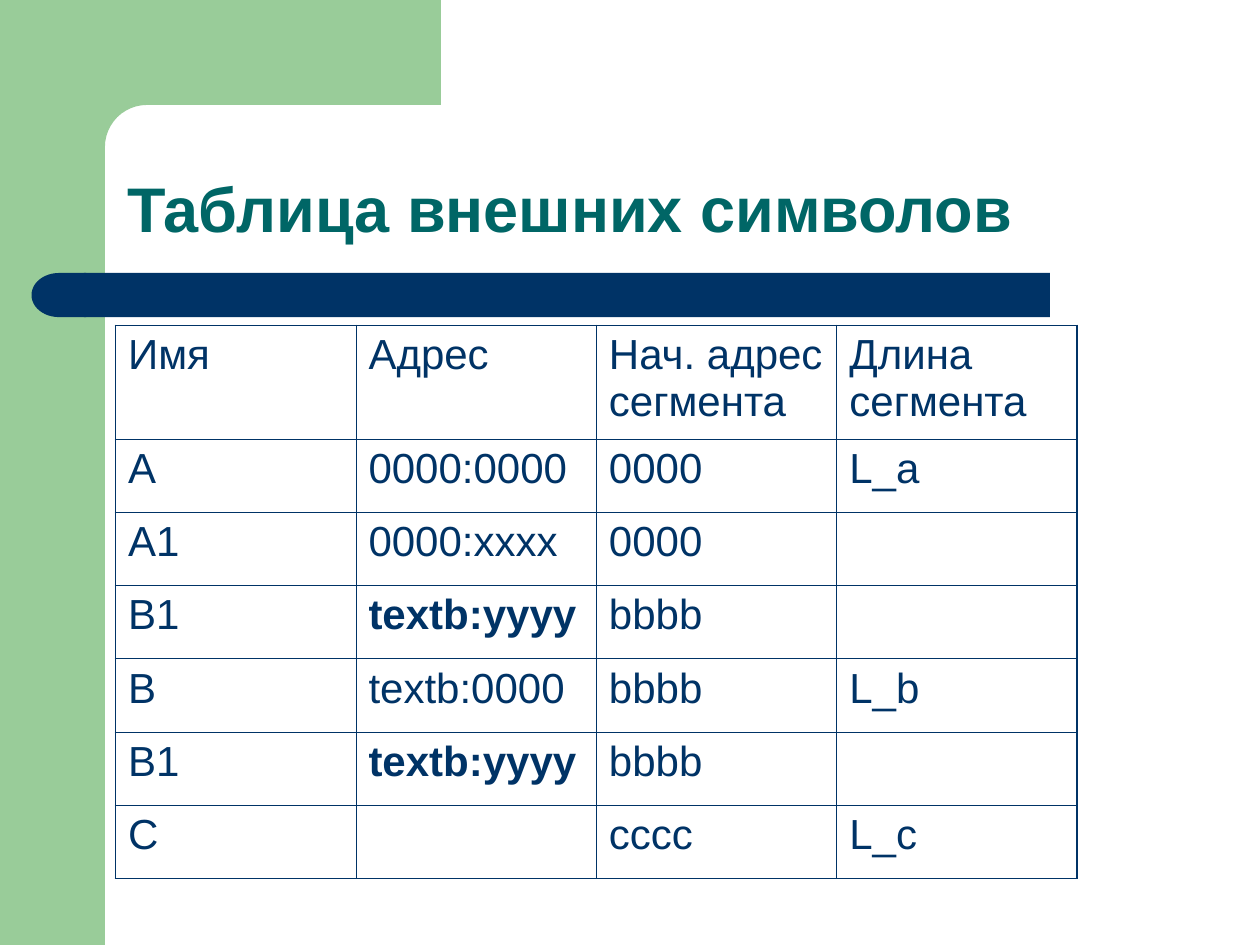
from dataclasses import dataclass
from math import cos, pi, sin

from lxml.etree import SubElement
from pptx import Presentation
from pptx.dml.color import RGBColor as RGB
from pptx.enum.shapes import MSO_SHAPE as SHAPE
from pptx.enum.text import MSO_ANCHOR as ANCHOR, MSO_AUTO_SIZE as AUTO, PP_ALIGN as ALIGN
from pptx.oxml.ns import qn
from pptx.util import Inches, Pt

COLS, ROWS = 120, 90


@dataclass(frozen=True)
class Theme:
    font: str = "Arial"
    green: str = "99CC99"
    navy: str = "003366"
    teal: str = "006666"
    title_size: int = 36
    cell_size: int = 24
    outer_line: float = 1.08
    inner_line: float = 0.45


class Deck:
    def __init__(self, theme):
        self.theme = theme
        self.prs = Presentation()
        self.prs.slide_width, self.prs.slide_height = Inches(10), Inches(7.5)
        self.s = self.prs.slides.add_slide(self.prs.slide_layouts[5])

    def x(self, cols):
        return round(self.prs.slide_width * cols / COLS)

    def y(self, rows):
        return round(self.prs.slide_height * rows / ROWS)

    def box(self, left, top, width, height):
        return self.x(left), self.y(top), self.x(width), self.y(height)

    def paint(self, sp, color):
        sp.shadow.inherit = False
        sp.fill.solid()
        sp.fill.fore_color.rgb = RGB.from_string(color)
        sp.line.fill.background()

    def shape(self, kind, box, color, flip=False):
        sp = self.s.shapes.add_shape(kind, *self.box(*box))
        self.paint(sp, color)
        if flip:
            sp.element.spPr.xfrm.set("flipH", "1")
        return sp

    def outline(self, points, color):
        start, *rest = [(self.x(col), self.y(row)) for col, row in points]
        builder = self.s.shapes.build_freeform(*start)
        builder.add_line_segments(rest, close=True)
        self.paint(builder.convert_to_shape(), color)

    def run(self, p, text, size, color, bold=False):
        r = p.add_run()
        r.text = text
        r.font.name, r.font.size, r.font.bold = self.theme.font, Pt(size), bold
        r.font.color.rgb = RGB.from_string(color)

    def title(self, text, box):
        sp = self.s.shapes.title
        sp.left, sp.top, sp.width, sp.height = self.box(*box)
        tf = sp.text_frame
        tf.word_wrap, tf.auto_size = True, AUTO.NONE
        tf.vertical_anchor = ANCHOR.BOTTOM
        p = tf.paragraphs[0]
        p.alignment, p.line_spacing = ALIGN.LEFT, 0.9
        self.run(p, text, self.theme.title_size, self.theme.teal, True)

    def borders(self, cell, outer):
        tc_pr = cell._tc.get_or_add_tcPr()
        for side in "LRTB":
            width = self.theme.outer_line if side in outer else self.theme.inner_line
            ln = SubElement(tc_pr, qn(f"a:ln{side}"), w=str(Pt(width)))
            fill = SubElement(ln, qn("a:solidFill"))
            SubElement(fill, qn("a:srgbClr"), val=self.theme.navy)

    def table(self, rows, box, heights, bold_prefix):
        last_row, last_col = len(rows) - 1, len(rows[0]) - 1
        table = self.s.shapes.add_table(last_row + 1, last_col + 1, *self.box(*box)).table
        table.first_row = table.horz_banding = False
        for i, row in enumerate(rows):
            table.rows[i].height = self.y(heights[i])
            for j, text in enumerate(row):
                cell = table.cell(i, j)
                edges = {"T": i == 0, "B": i == last_row, "L": j == 0, "R": j == last_col}
                self.borders(cell, [side for side, on in edges.items() if on])
                cell.fill.background()
                self.cell_text(cell, text, text == bold_prefix)

    def cell_text(self, cell, text, bold):
        p = cell.text_frame.paragraphs[0]
        for n, line in enumerate(text.split("\n") if text else []):
            if n:
                p.add_line_break()
            self.run(p, line, self.theme.cell_size, self.theme.navy, bold)

    def save(self):
        self.prs.save("out.pptx")


def main():
    theme = Theme()
    deck = Deck(theme)
    deck.shape(SHAPE.RECTANGLE, (0, 0, 10, 90), theme.green)
    angles = [pi / 2 * n / 12 for n in range(13)]
    corner = [(14 - 4 * sin(a), 14 - 4 * cos(a)) for a in angles]
    deck.outline([(42, 0), (42, 10), *corner, (10, 15.4), (6, 15.4), (6, 0)], theme.green)
    bar = deck.shape(SHAPE.ROUNDED_RECTANGLE, (8, 26, 92, 4.2), theme.navy)
    bar.adjustments[0] = 0
    deck.shape(SHAPE.FLOWCHART_DELAY, (3, 26, 5.2, 4.2), theme.navy, flip=True)
    deck.title("Таблица внешних символов", (10.9, 10.9, 102.1, 13.1))
    symbols = [
        ["Имя", "Адрес", "Нач. адрес\nсегмента", "Длина сегмента"],
        ["А", "0000:0000", "0000", "L_a"],
        ["A1", "0000:хххх", "0000", ""],
        ["B1", "textb:yyyy", "bbbb", ""],
        ["B", "textb:0000", "bbbb", "L_b"],
        ["B1", "textb:yyyy", "bbbb", ""],
        ["C", "", "cccc", "L_c"],
    ]
    heights = [10.8] + [6.98] * (len(symbols) - 1)
    deck.table(symbols, (11, 31, 91.6, sum(heights)), heights, "textb:yyyy")
    deck.save()


if __name__ == "__main__":
    main()
